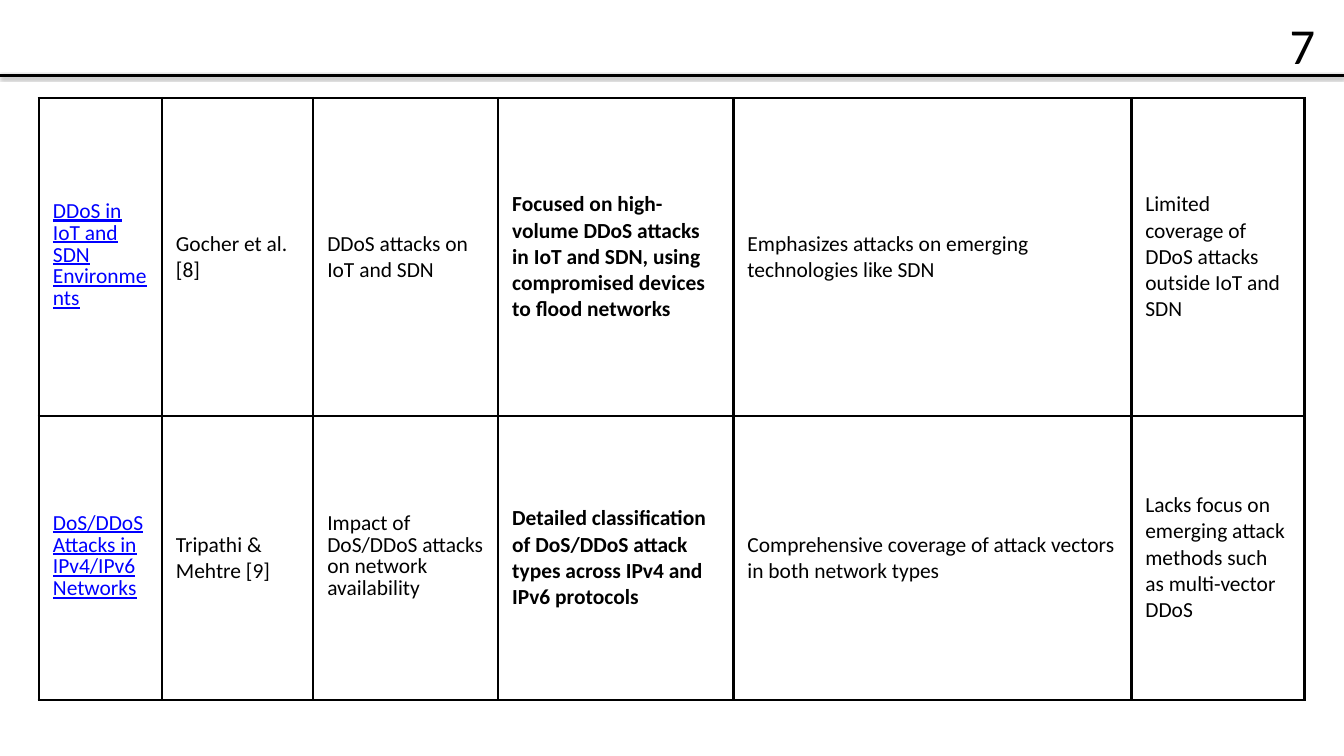
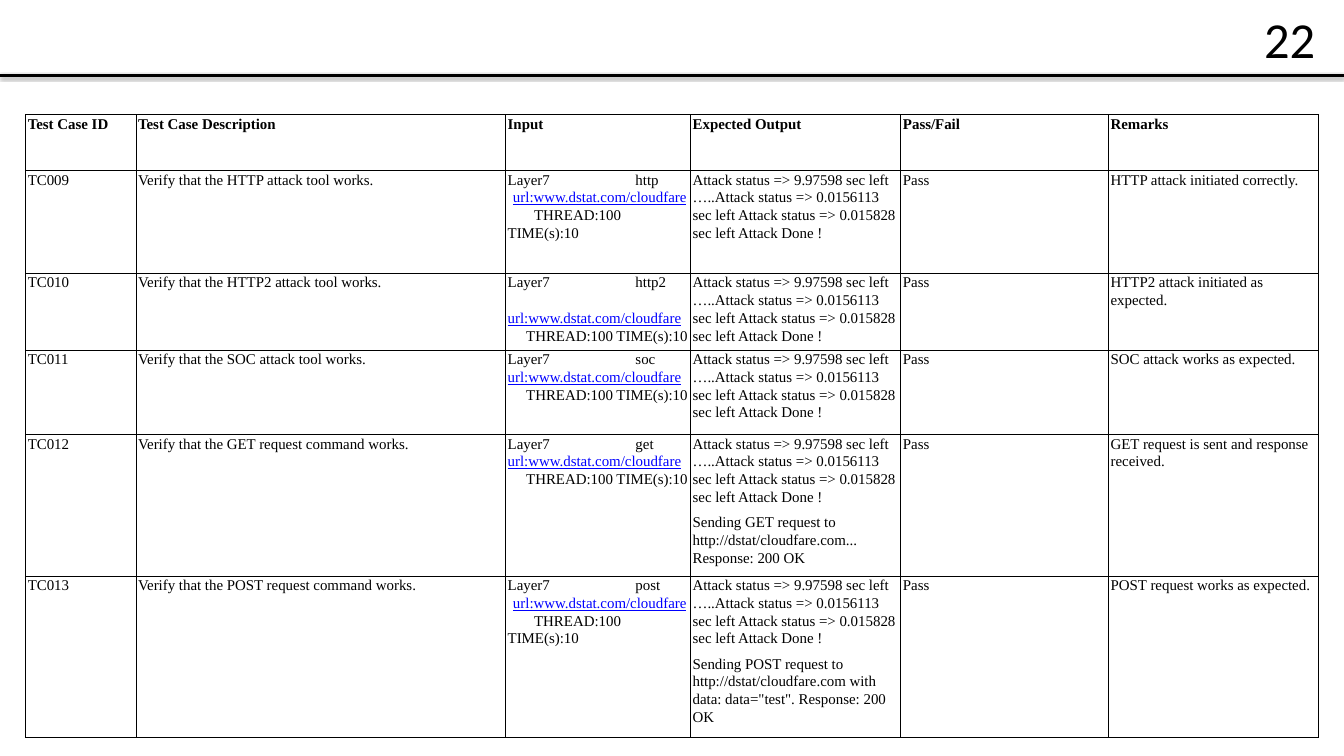
from dataclasses import dataclass
from typing import Any

from lxml.etree import SubElement
from pptx import Presentation
from pptx.dml.color import RGBColor
from pptx.enum.shapes import MSO_CONNECTOR
from pptx.enum.text import MSO_ANCHOR, PP_ALIGN
from pptx.oxml.ns import qn
from pptx.slide import Slide
from pptx.util import Cm, Pt

BLACK = RGBColor(0x00, 0x00, 0x00)
WHITE = RGBColor(0xFF, 0xFF, 0xFF)
LINK_BLUE = RGBColor(0x00, 0x00, 0xFF)

PAGE_WIDTH = Cm(50.8)
PAGE_HEIGHT = Cm(28.58)
RULE_TOP = Cm(2.84)
COMPACT = 23.4
URL = "url:www.dstat.com/cloudfare"
SETTINGS = "THREAD:100 TIME(s):10"
STATUS = (
    "Attack status => 9.97598 sec left …..Attack status => 0.0156113 sec left "
    "Attack status => 0.015828 sec left Attack Done !"
)


@dataclass(frozen=True)
class Line:
    text: str
    link: bool = False
    bold: bool = False
    exact: float = 28
    indent: float = 0
    before: float = 0
    after: float = 8
    tab: float = 0


@dataclass(frozen=True)
class TableStyle:
    font: str
    size: float
    border: float
    margin_x: float
    margin_y: float
    anchor: Any
    line_spacing: float | None = None


@dataclass(frozen=True)
class Grid:
    left: float
    top: float
    columns: list[float]
    rows: list[float]


@dataclass(frozen=True)
class TestCase:
    number: str
    subject: str
    method: str
    remark: str
    response: str = ""
    url_indent: float = 0
    settings_indent: float = 0.7
    url_gap: float = 0


REVIEW_STYLE = TableStyle("Calibri", 23, 3, 0.53, 0.53, MSO_ANCHOR.MIDDLE)
TEST_STYLE = TableStyle("Times New Roman", 16, 1, 0.08, 0, MSO_ANCHOR.TOP, 1.07)

REVIEW_GRID = Grid(1.47, 3.71, [4.65, 5.72, 6.99, 8.89, 15.04, 6.55], [12.01, 10.74])
TEST_GRID = Grid(
    0.97, 4.34,
    [4.17, 13.97, 6.99, 7.95, 7.85, 7.95],
    [2.11, 3.89, 2.87, 3.2, 5.33, 6.1],
)

REVIEW_ROWS = [
    [
        [Line("DDoS in IoT and SDN Environments", link=True, exact=COMPACT)],
        [Line("Gocher et al. [8]")],
        [Line("DDoS attacks on IoT and SDN")],
        [Line("Focused on high-volume DDoS attacks in IoT and SDN, using "
              "compromised devices to flood networks", bold=True)],
        [Line("Emphasizes attacks on emerging technologies like SDN")],
        [Line("Limited coverage of DDoS attacks outside IoT and SDN")],
    ],
    [
        [Line("DoS/DDoS Attacks in IPv4/IPv6 Networks", link=True, exact=COMPACT)],
        [Line("Tripathi & Mehtre [9]")],
        [Line("Impact of DoS/DDoS attacks on network availability", exact=COMPACT)],
        [Line("Detailed classification of DoS/DDoS attack types across IPv4 and "
              "IPv6 protocols", bold=True)],
        [Line("Comprehensive coverage of attack vectors in both network types")],
        [Line("Lacks focus on emerging attack methods such as multi-vector DDoS")],
    ],
]

TEST_HEADINGS = [
    "Test Case ID", "Test Case Description", "Input",
    "Expected Output", "Pass/Fail", "Remarks",
]

TEST_CASES = [
    TestCase("TC009", "HTTP attack tool", "http", "HTTP attack initiated correctly.",
             url_indent=0.2, settings_indent=1),
    TestCase("TC010", "HTTP2 attack tool", "http2",
             "HTTP2 attack initiated as expected.", url_gap=19),
    TestCase("TC011", "SOC attack tool", "soc", "SOC attack works as expected."),
    TestCase("TC012", "GET request command", "get",
             "GET request is sent and response received.",
             "Sending GET request to http://dstat/cloudfare.com... Response: 200 OK"),
    TestCase("TC013", "POST request command", "post", "POST request works as expected.",
             "Sending POST request to http://dstat/cloudfare.com with data: "
             'data="test". Response: 200 OK',
             url_indent=0.2, settings_indent=1),
]


def apply(target: Any, values: dict[str, Any]) -> None:
    for name, value in values.items():
        setattr(target, name, value)


def draw_header(page: Slide, number: str, top: float) -> None:
    rule = page.shapes.add_connector(
        MSO_CONNECTOR.STRAIGHT, 0, RULE_TOP, PAGE_WIDTH, RULE_TOP
    )
    rule.line.color.rgb = BLACK
    rule.line.width = Pt(3)
    effects = SubElement(rule._element.spPr, qn("a:effectLst"))
    shadow = SubElement(
        effects, qn("a:outerShdw"),
        blurRad=str(Pt(3.1)), dist=str(Pt(1.8)), dir="5400000", rotWithShape="0",
    )
    color = SubElement(shadow, qn("a:srgbClr"), val=str(BLACK))
    SubElement(color, qn("a:alpha"), val="35000")

    box = page.shapes.add_textbox(Cm(43.18), Cm(top), Cm(6.78), Cm(1.85))
    frame = box.text_frame
    apply(frame, {"word_wrap": True, "vertical_anchor": MSO_ANCHOR.MIDDLE})
    para = frame.paragraphs[0]
    para.alignment = PP_ALIGN.RIGHT
    span = para.add_run()
    span.text = number
    apply(span.font, {"name": "Calibri", "size": Pt(54)})
    span.font.color.rgb = BLACK


def write_line(para: Any, line: Line, style: TableStyle) -> None:
    properties = para._p.get_or_add_pPr()
    if line.indent:
        properties.set("marL", "0")
        properties.set("indent", str(Cm(line.indent)))
    if line.tab:
        stops = SubElement(properties, qn("a:tabLst"))
        SubElement(stops, qn("a:tab"), pos=str(Cm(line.tab)), algn="l")
    if style.line_spacing:
        apply(para, {"line_spacing": style.line_spacing, "space_after": Pt(line.after)})
    else:
        para.line_spacing = Pt(line.exact)
    if line.before:
        para.space_before = Pt(line.before)
    span = para.add_run()
    span.text = line.text
    apply(span.font, {
        "name": style.font,
        "size": Pt(style.size),
        "bold": line.bold,
        "underline": line.link,
    })
    span.font.color.rgb = LINK_BLUE if line.link else BLACK


def format_cell(cell: Any, style: TableStyle) -> None:
    apply(cell, {
        "margin_left": Cm(style.margin_x),
        "margin_right": Cm(style.margin_x),
        "margin_top": Cm(style.margin_y),
        "margin_bottom": Cm(style.margin_y),
        "vertical_anchor": style.anchor,
    })
    properties = cell._tc.get_or_add_tcPr()
    for side in ("lnL", "lnR", "lnT", "lnB"):
        border = SubElement(properties, qn(f"a:{side}"), w=str(Pt(style.border)))
        fill = SubElement(border, qn("a:solidFill"))
        SubElement(fill, qn("a:srgbClr"), val=str(BLACK))
    cell.fill.solid()
    cell.fill.fore_color.rgb = WHITE


def draw_table(
    page: Slide, grid: Grid, rows: list[list[list[Line]]], style: TableStyle
) -> None:
    table = page.shapes.add_table(
        len(grid.rows), len(grid.columns), Cm(grid.left), Cm(grid.top),
        Cm(sum(grid.columns)), Cm(sum(grid.rows)),
    ).table
    apply(table, {"first_row": False, "horz_banding": False})
    for column, width in zip(table.columns, grid.columns):
        column.width = Cm(width)
    for row, height, contents in zip(table.rows, grid.rows, rows):
        row.height = Cm(height)
        for cell, lines in zip(row.cells, contents):
            format_cell(cell, style)
            frame = cell.text_frame
            for index, line in enumerate(lines):
                para = frame.add_paragraph() if index else frame.paragraphs[0]
                write_line(para, line, style)


def test_row(case: TestCase) -> list[list[Line]]:
    inputs = [
        Line(f"Layer7\t{case.method}", tab=4.83, after=0),
        Line(URL, link=True, indent=case.url_indent, before=case.url_gap, after=0),
        Line(SETTINGS, indent=case.settings_indent),
    ]
    outputs = [Line(text) for text in (STATUS, case.response) if text]
    return [
        [Line(case.number)],
        [Line(f"Verify that the {case.subject} works.")],
        inputs,
        outputs,
        [Line("Pass")],
        [Line(case.remark)],
    ]


def main() -> None:
    deck = Presentation()
    apply(deck, {"slide_width": PAGE_WIDTH, "slide_height": PAGE_HEIGHT})
    blank = deck.slide_layouts[6]

    review_page = deck.slides.add_slide(blank)
    draw_header(review_page, "7", 0.74)
    draw_table(review_page, REVIEW_GRID, REVIEW_ROWS, REVIEW_STYLE)

    test_page = deck.slides.add_slide(blank)
    draw_header(test_page, "22", 0.53)
    headings = [[Line(text, bold=True)] for text in TEST_HEADINGS]
    test_rows = [headings] + [test_row(case) for case in TEST_CASES]
    draw_table(test_page, TEST_GRID, test_rows, TEST_STYLE)

    deck.save("out.pptx")


if __name__ == "__main__":
    main()
